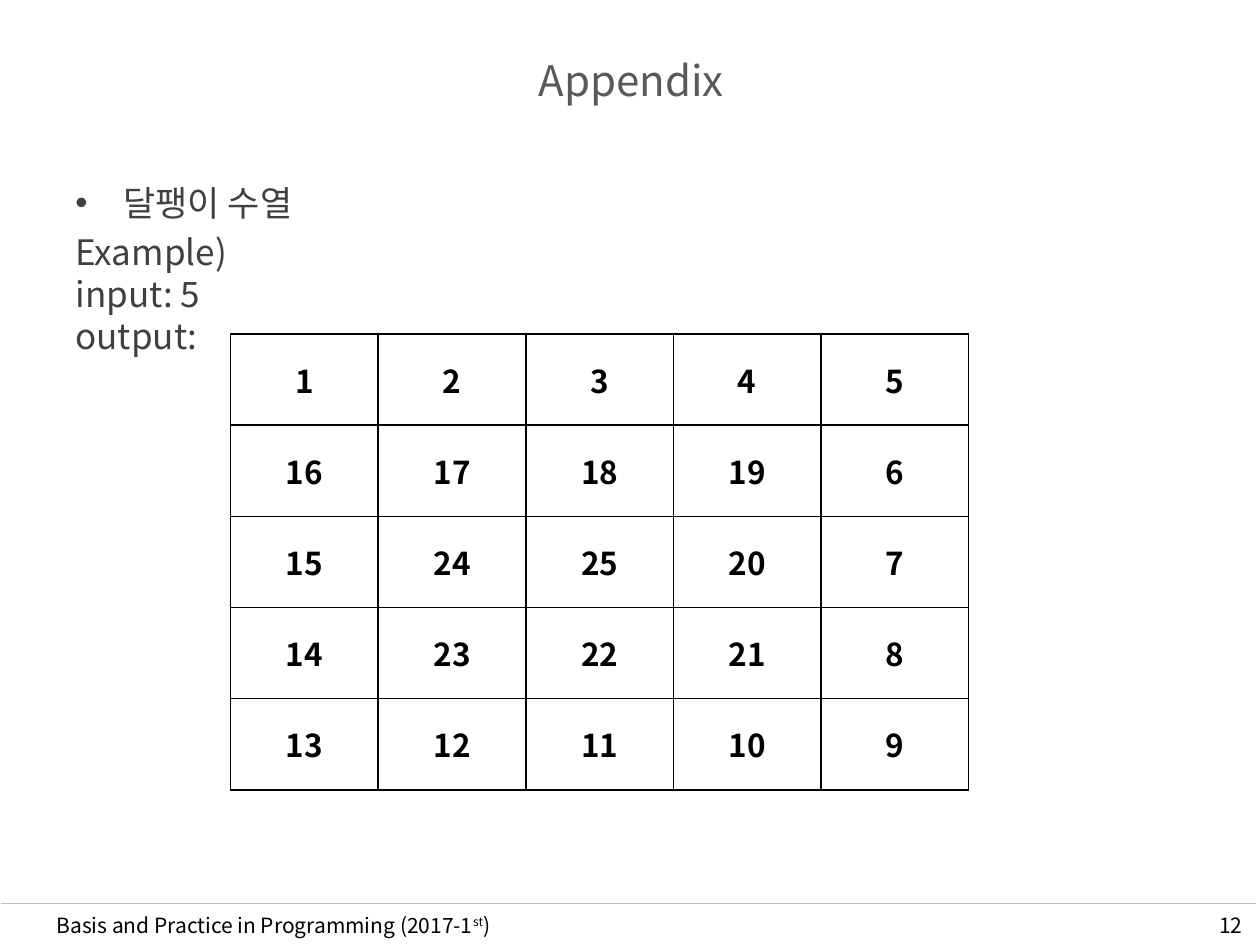
from lxml import etree
from pptx import Presentation
from pptx.dml.color import RGBColor
from pptx.enum.shapes import MSO_CONNECTOR
from pptx.enum.text import MSO_ANCHOR, PP_ALIGN
from pptx.oxml.ns import qn
from pptx.util import Inches, Pt

LEFT, CENTER, RIGHT = PP_ALIGN.LEFT, PP_ALIGN.CENTER, PP_ALIGN.RIGHT
TOP, MIDDLE = MSO_ANCHOR.TOP, MSO_ANCHOR.MIDDLE
FONT = "Noto Sans CJK KR"
BLACK, WHITE, GRAY = "000000", "FFFFFF", "BFBFBF"

# Content
TITLE = "Appendix"
BODY = ["달팽이 수열", "Example)\vinput: 5\voutput:"]
SPIRAL = [
    [1, 2, 3, 4, 5],
    [16, 17, 18, 19, 6],
    [15, 24, 25, 20, 7],
    [14, 23, 22, 21, 8],
    [13, 12, 11, 10, 9],
]
COURSE = ["Basis and Practice in Programming (2017-1", "st", ")"]
PAGE = "12"
CELL_WIDTH, CELL_HEIGHT = 1.172, 0.724


def color(value):
    return RGBColor.from_string(value)


def write(paragraph, text, size=12, fill=BLACK, bold=False, align=LEFT, raised=False):
    """Add text to a paragraph; vertical tabs become line breaks."""
    paragraph.alignment = align
    for index, line in enumerate(text.split("\v")):
        if index:
            paragraph.add_line_break()
        run = paragraph.add_run()
        run.text = line
        run.font.name, run.font.size, run.font.bold = FONT, Pt(size), bold
        run.font.color.rgb = color(fill)
        properties = run.font._element
        etree.SubElement(properties, qn("a:ea"), typeface=FONT)
        if raised:
            properties.set("baseline", "30000")


def add_text_frame(slide, box, anchor=TOP):
    frame = slide.shapes.add_textbox(*map(Inches, box)).text_frame
    frame.word_wrap = True
    frame.vertical_anchor = anchor
    return frame


def add_bullet(paragraph, indent):
    properties = paragraph._p.get_or_add_pPr()
    properties.set("marL", str(Inches(indent)))
    properties.set("indent", str(-Inches(indent)))
    etree.SubElement(properties, qn("a:buFont"), typeface="Arial")
    etree.SubElement(properties, qn("a:buChar"), char="•")


def add_borders(cell):
    properties = cell._tc.get_or_add_tcPr()
    for position, side in enumerate(("lnL", "lnR", "lnT", "lnB")):
        line = etree.Element(qn(f"a:{side}"), w=str(Pt(1)))
        fill = etree.SubElement(line, qn("a:solidFill"))
        etree.SubElement(fill, qn("a:srgbClr"), val=BLACK)
        properties.insert(position, line)


presentation = Presentation()
presentation.slide_width, presentation.slide_height = Inches(10), Inches(7.5)
slide = presentation.slides.add_slide(presentation.slide_layouts[6])

# Footer
rule = slide.shapes.add_connector(
    MSO_CONNECTOR.STRAIGHT, Inches(0.01), Inches(7.17), Inches(9.97), Inches(7.17))
rule.line.color.rgb, rule.line.width = color(GRAY), Pt(0.75)
etree.SubElement(rule._element.spPr, qn("a:effectLst"))

course = add_text_frame(slide, (0.35, 7.19, 4.72, 0.3)).paragraphs[0]
for part in COURSE:
    write(course, part, raised=part == "st")
page = add_text_frame(slide, (7.63, 7.2, 2.33, 0.28), MIDDLE)
write(page.paragraphs[0], PAGE, align=RIGHT)

# Title
title = add_text_frame(slide, (0.51, 0.36, 9, 0.55), MIDDLE)
write(title.paragraphs[0], TITLE, size=24, fill="595959", align=CENTER)

# Body
body = add_text_frame(slide, (0.5, 1.39, 8.52, 5.19))
for index, text in enumerate(BODY):
    paragraph = body.add_paragraph() if index else body.paragraphs[0]
    paragraph.space_before = Pt(4)
    write(paragraph, text, size=20, fill="404040")
add_bullet(body.paragraphs[0], 0.38)

# Spiral table
rows, columns = len(SPIRAL), len(SPIRAL[0])
table = slide.shapes.add_table(
    rows, columns, Inches(1.83), Inches(2.65),
    Inches(columns * CELL_WIDTH), Inches(rows * CELL_HEIGHT)).table
for column in table.columns:
    column.width = Inches(CELL_WIDTH)
for row, numbers in zip(table.rows, SPIRAL):
    row.height = Inches(CELL_HEIGHT)
    for cell, number in zip(row.cells, numbers):
        cell.fill.solid()
        cell.fill.fore_color.rgb = color(WHITE)
        cell.vertical_anchor = MIDDLE
        add_borders(cell)
        write(cell.text_frame.paragraphs[0], str(number), size=18, bold=True, align=CENTER)

presentation.save("out.pptx")
